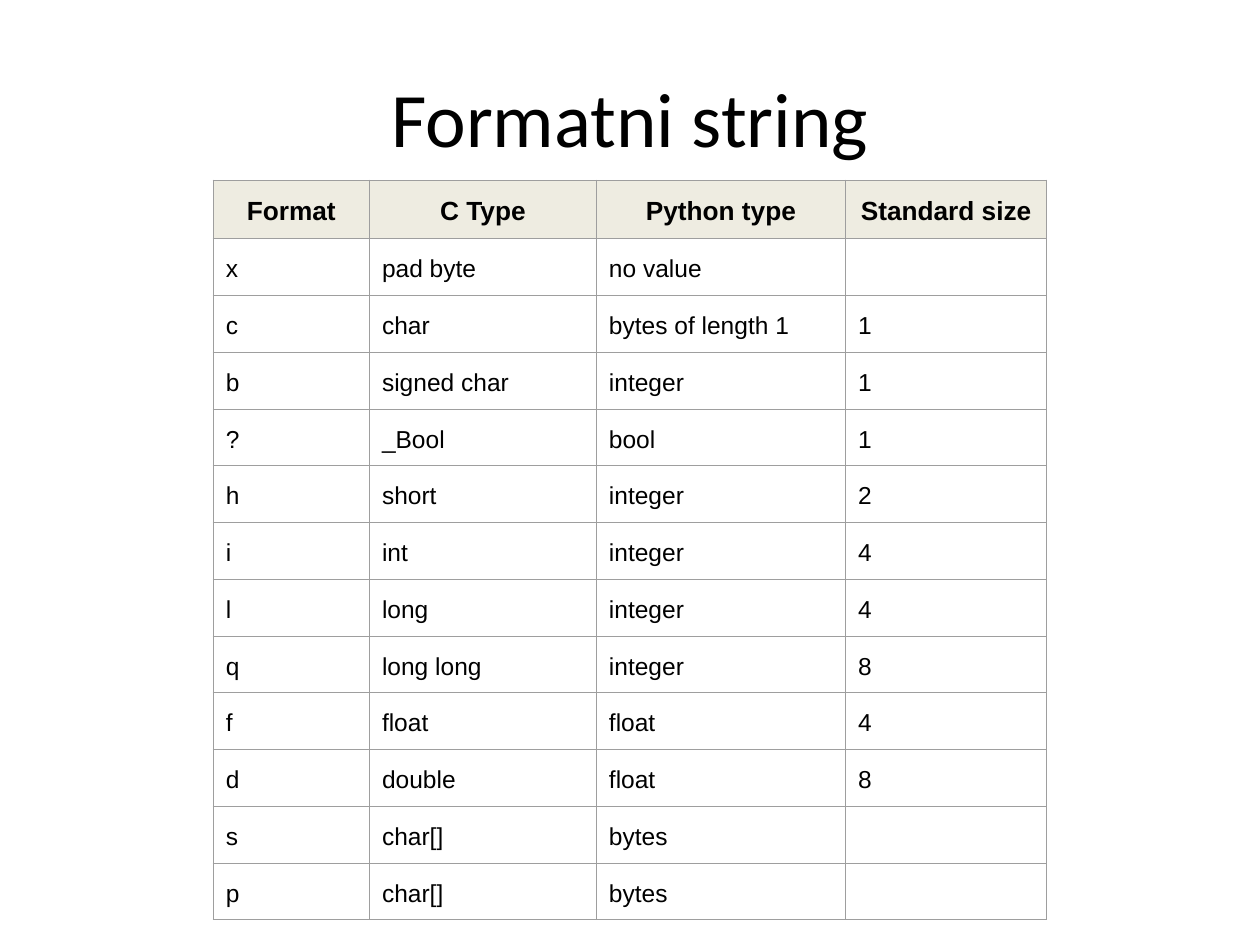
from lxml.etree import SubElement
from pptx import Presentation
from pptx.dml.color import RGBColor
from pptx.enum.text import MSO_ANCHOR as Anchor, PP_ALIGN as Align
from pptx.oxml.ns import qn
from pptx.util import Pt

BLACK = RGBColor(0x00, 0x00, 0x00)
BEIGE = RGBColor(0xEE, 0xEC, 0xE1)
GRAY = RGBColor(0x9E, 0x9E, 0x9E)

TITLE_FONT = {"name": "Calibri", "size": Pt(44)}
HEADER_FONT = {"name": "Arial", "size": Pt(15), "bold": True}
BODY_FONT = {"name": "Arial", "size": Pt(14), "bold": False}
CELL_MARGINS = {
    "margin_left": Pt(7.2),
    "margin_top": Pt(7.2),
    "margin_right": Pt(7.2),
    "margin_bottom": Pt(5.5),
}

COL_WIDTHS = (89.3, 129.7, 142.4, 115)
HEADER_HEIGHT = 33.5
ROW_HEIGHT = 32.45
ROWS = (
    ("Format", "C Type", "Python type", "Standard size"),
    ("x", "pad byte", "no value", ""),
    ("c", "char", "bytes of length 1", "1"),
    ("b", "signed char", "integer", "1"),
    ("?", "_Bool", "bool", "1"),
    ("h", "short", "integer", "2"),
    ("i", "int", "integer", "4"),
    ("l", "long", "integer", "4"),
    ("q", "long long", "integer", "8"),
    ("f", "float", "float", "4"),
    ("d", "double", "float", "8"),
    ("s", "char[]", "bytes", ""),
    ("p", "char[]", "bytes", ""),
)


def set_attrs(obj, values):
    for name, value in values.items():
        setattr(obj, name, value)


def write(p, text, font, align):
    p.alignment = align
    r = p.add_run()
    r.text = text
    set_attrs(r.font, font)
    r.font.color.rgb = BLACK


def add_title(s, text):
    tf = s.shapes.add_textbox(Pt(36), Pt(21.6), Pt(648), Pt(90)).text_frame
    set_attrs(tf, {"word_wrap": True, "vertical_anchor": Anchor.MIDDLE})
    write(tf.paragraphs[0], text, TITLE_FONT, Align.CENTER)


def add_borders(cell):
    tc_pr = cell._tc.get_or_add_tcPr()
    for tag in ("a:lnL", "a:lnR", "a:lnT", "a:lnB"):
        ln = SubElement(tc_pr, qn(tag), w=str(Pt(0.75)))
        fill = SubElement(ln, qn("a:solidFill"))
        SubElement(fill, qn("a:srgbClr"), val=str(GRAY))


def format_cell(cell, text, is_header):
    add_borders(cell)
    if is_header:
        cell.fill.solid()
        cell.fill.fore_color.rgb = BEIGE
    else:
        cell.fill.background()
    if text:
        set_attrs(cell, CELL_MARGINS)
        p = cell.text_frame.paragraphs[0]
        p.line_spacing = 1.15
        font, align = (HEADER_FONT, Align.CENTER) if is_header else (BODY_FONT, Align.LEFT)
        write(p, text, font, align)


def add_format_table(s):
    heights = [HEADER_HEIGHT] + [ROW_HEIGHT] * (len(ROWS) - 1)
    table = s.shapes.add_table(
        len(ROWS), len(COL_WIDTHS), Pt(121.8), Pt(103),
        Pt(sum(COL_WIDTHS)), Pt(sum(heights)),
    ).table
    set_attrs(table, {"first_row": False, "horz_banding": False})
    for column, width in zip(table.columns, COL_WIDTHS):
        column.width = Pt(width)
    for i, (row, height, texts) in enumerate(zip(table.rows, heights, ROWS)):
        row.height = Pt(height)
        for cell, text in zip(row.cells, texts):
            format_cell(cell, text, i == 0)


def main():
    prs = Presentation()
    set_attrs(prs, {"slide_width": Pt(720), "slide_height": Pt(540)})
    s = prs.slides.add_slide(prs.slide_layouts[6])
    add_title(s, "Formatni string")
    add_format_table(s)
    prs.save("out.pptx")


if __name__ == "__main__":
    main()
